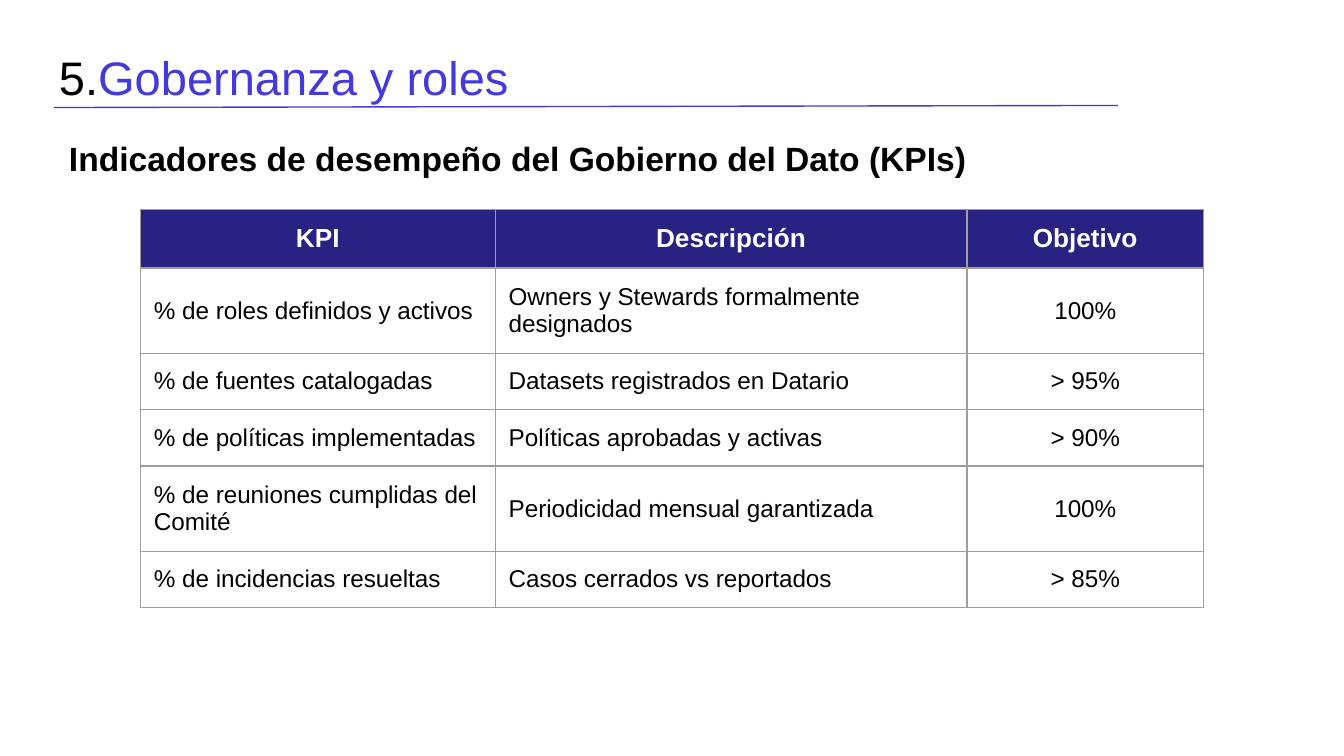
from lxml import etree
from pptx import Presentation
from pptx.dml.color import RGBColor
from pptx.enum.shapes import MSO_CONNECTOR
from pptx.enum.text import MSO_ANCHOR, PP_ALIGN
from pptx.oxml.ns import qn
from pptx.util import Pt

STRAIGHT = MSO_CONNECTOR.STRAIGHT
TOP = MSO_ANCHOR.TOP
MIDDLE = MSO_ANCHOR.MIDDLE
LEFT = PP_ALIGN.LEFT
CENTER = PP_ALIGN.CENTER

EMU_PER_PX = 4572
SLIDE_WIDTH = 2000
SLIDE_HEIGHT = 1125
INSET = 20
ROW_HEIGHT = 84
COLUMN_WIDTHS = (528, 702, 352)
COLUMN_ALIGNMENTS = (LEFT, LEFT, CENTER)
COLORS = {
    "text": "000000",
    "accent": "4339DD",
    "header": "282283",
    "header_text": "FFFFFF",
    "border": "9E9E9E",
}
FORMATS = {
    "title": {"name": "Arial", "size": Pt(25.2), "bold": False},
    "subtitle": {"name": "Arial", "size": Pt(18), "bold": True},
    "header": {"name": "Arial", "size": Pt(14), "bold": True},
    "body": {"name": "Arial", "size": Pt(13), "bold": False},
}
TITLE_PARTS = (("5.", "text"), ("Gobernanza y roles", "accent"))
SUBTITLE = "Indicadores de desempeño del Gobierno del Dato (KPIs)"
KPI_ROWS = (
    ("KPI", "Descripción", "Objetivo"),
    ("% de roles definidos y activos", "Owners y Stewards formalmente designados", "100%"),
    ("% de fuentes catalogadas", "Datasets registrados en Datario", "> 95%"),
    ("% de políticas implementadas", "Políticas aprobadas y activas", "> 90%"),
    ("% de reuniones cumplidas del Comité", "Periodicidad mensual garantizada", "100%"),
    ("% de incidencias resueltas", "Casos cerrados vs reportados", "> 85%"),
)


def px(length):
    return length * EMU_PER_PX


def color(name):
    return RGBColor.from_string(COLORS[name])


def set_margins(target):
    for side in ("left", "top", "right", "bottom"):
        setattr(target, f"margin_{side}", px(INSET))


def add_run(paragraph, text, format_name, color_name):
    run = paragraph.add_run()
    run.text = text
    for attribute, value in FORMATS[format_name].items():
        setattr(run.font, attribute, value)
    run.font.color.rgb = color(color_name)


def add_text(slide, box, parts, format_name, anchor, line_spacing):
    shape = slide.shapes.add_textbox(*map(px, box))
    frame = shape.text_frame
    frame.word_wrap = True
    frame.vertical_anchor = anchor
    set_margins(frame)
    paragraph = frame.paragraphs[0]
    paragraph.line_spacing = line_spacing
    for text, color_name in parts:
        add_run(paragraph, text, format_name, color_name)


def add_heading(slide, box):
    left, top, width, height = box
    line = slide.shapes.add_connector(
        STRAIGHT, px(left + 12), px(top + 108), px(left + 1596), px(top + 105)
    )
    line.line.color.rgb = color("accent")
    line.line.width = Pt(0.75)
    etree.SubElement(line.element.spPr, qn("a:effectLst"))
    add_text(slide, (left, top, width, 125), TITLE_PARTS, "title", MIDDLE, 1.0)
    subtitle_box = (left + 15, top + 124, 1484, height - 124)
    add_text(slide, subtitle_box, [(SUBTITLE, "text")], "subtitle", TOP, 1.15)


def add_borders(cell):
    properties = cell._tc.get_or_add_tcPr()
    for position, tag in enumerate(("a:lnL", "a:lnR", "a:lnT", "a:lnB")):
        border = etree.Element(qn(tag), w=str(Pt(0.75)))
        fill = etree.SubElement(border, qn("a:solidFill"))
        etree.SubElement(fill, qn("a:srgbClr"), val=COLORS["border"])
        properties.insert(position, border)


def fill_cell(cell, text, alignment, is_header):
    set_margins(cell)
    cell.vertical_anchor = MIDDLE
    if is_header:
        cell.fill.solid()
        cell.fill.fore_color.rgb = color("header")
    else:
        cell.fill.background()
    add_borders(cell)
    paragraph = cell.text_frame.paragraphs[0]
    paragraph.alignment = CENTER if is_header else alignment
    format_name, color_name = ("header", "header_text") if is_header else ("body", "text")
    add_run(paragraph, text, format_name, color_name)


def add_kpi_table(slide, box):
    shape = slide.shapes.add_table(len(KPI_ROWS), len(COLUMN_WIDTHS), *map(px, box))
    table = shape.table
    table.horz_banding = False
    for column, width in zip(table.columns, COLUMN_WIDTHS):
        column.width = px(width)
    for row_index, texts in enumerate(KPI_ROWS):
        row = table.rows[row_index]
        row.height = px(ROW_HEIGHT)
        for cell, text, alignment in zip(row.cells, texts, COLUMN_ALIGNMENTS):
            fill_cell(cell, text, alignment, row_index == 0)


def main():
    presentation = Presentation()
    presentation.slide_width = px(SLIDE_WIDTH)
    presentation.slide_height = px(SLIDE_HEIGHT)
    slide = presentation.slides.add_slide(presentation.slide_layouts[6])
    add_heading(slide, (68, 52, 1864, 224))
    add_kpi_table(slide, (209, 312, sum(COLUMN_WIDTHS), ROW_HEIGHT * len(KPI_ROWS)))
    presentation.save("out.pptx")


if __name__ == "__main__":
    main()
